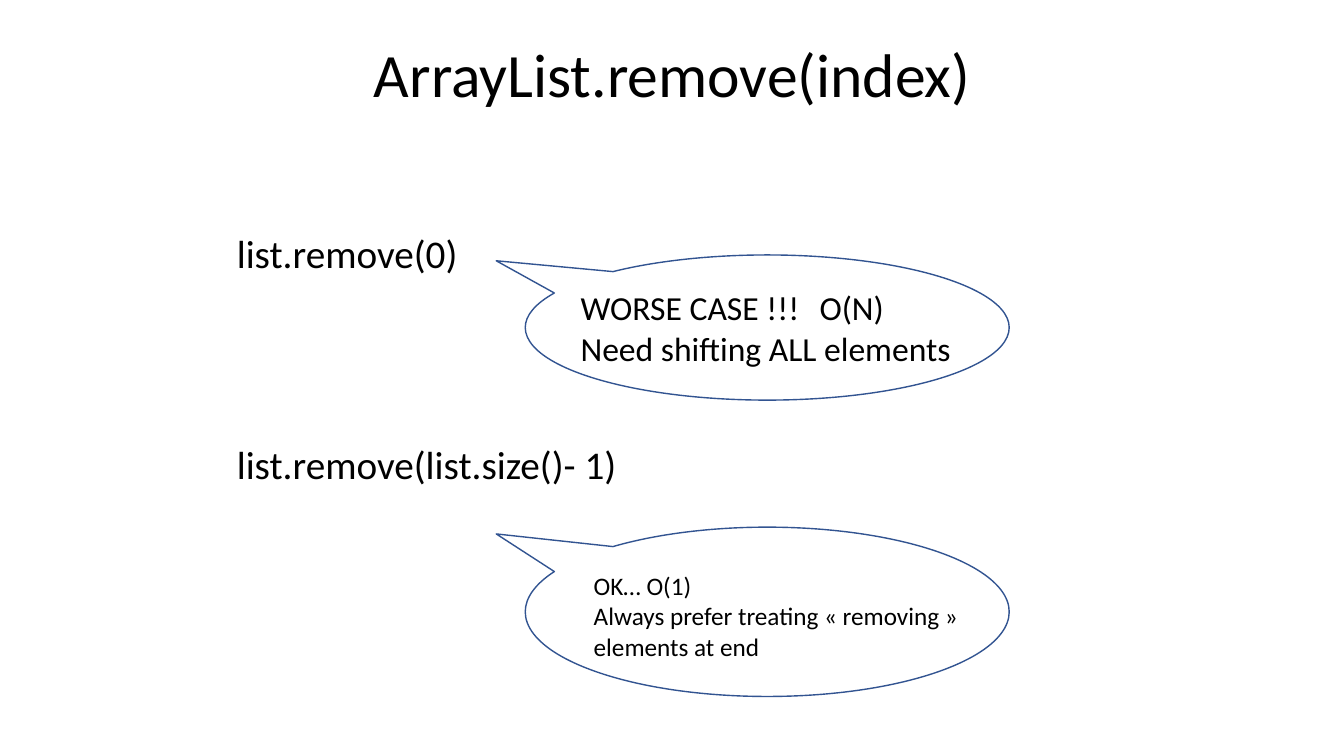
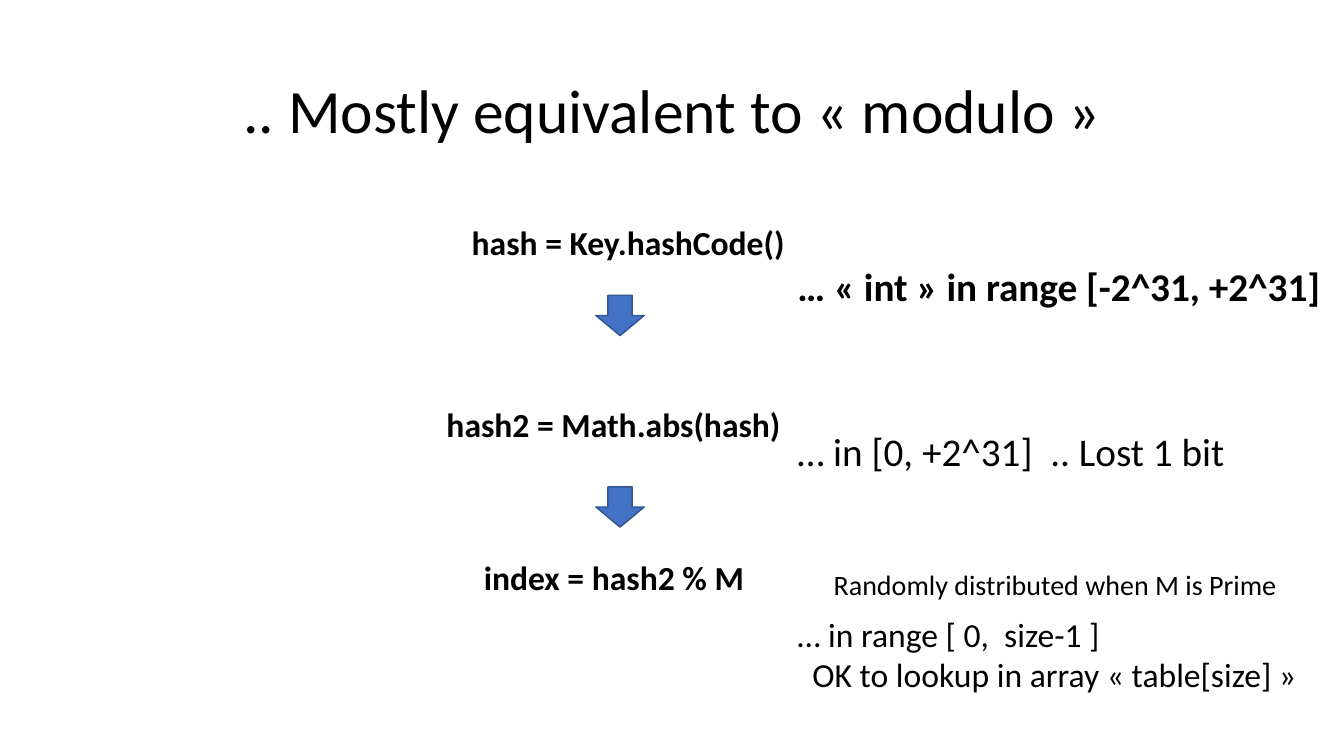
from lxml import etree
from pptx import Presentation
from pptx.dml.color import RGBColor
from pptx.enum.shapes import MSO_SHAPE
from pptx.enum.text import MSO_ANCHOR, MSO_AUTO_SIZE, PP_ALIGN
from pptx.oxml.ns import qn
from pptx.util import Emu, Pt

CALLOUT = MSO_SHAPE.OVAL_CALLOUT
DOWN_ARROW = MSO_SHAPE.DOWN_ARROW
MIDDLE = MSO_ANCHOR.MIDDLE
CENTER = PP_ALIGN.CENTER
FIT_SHAPE = MSO_AUTO_SIZE.SHAPE_TO_FIT_TEXT
NO_FIT = MSO_AUTO_SIZE.NONE
TITLE_ONLY = 5

FONT = "Calibri"
INK, BLUE, OUTLINE = "000000", "4472C4", "325491"


def px(n):
    """Convert px, 100 to the inch, to EMU."""
    return Emu(n * 9144)


def rgb(value):
    """Turn a hex string into a colour."""
    return RGBColor.from_string(value)


def write(p, text, size=24, bold=False, indent=0, tab=0):
    """Write formatted text into a paragraph, with an optional indent or tab stop."""
    pPr = p._p.get_or_add_pPr()
    if indent:
        pPr.set("marL", str(px(indent)))
        pPr.set("indent", "0")
    if tab:
        tabs = etree.SubElement(pPr, qn("a:tabLst"))
        etree.SubElement(tabs, qn("a:tab"), pos=str(px(tab)), algn="l")
    r = p.add_run()
    r.text = text
    r.font.name = FONT
    r.font.size = Pt(size)
    r.font.bold = bold
    r.font.color.rgb = rgb(INK)


class Deck:
    """Presentation with a shared style and a current slide."""

    def __init__(self):
        """Start an empty widescreen presentation."""
        self.prs = Presentation()
        self.prs.slide_width, self.prs.slide_height = px(1333), px(750)
        self.s = None

    def slide(self, title, y, h):
        """Add a slide with a centred title."""
        self.s = self.prs.slides.add_slide(self.prs.slide_layouts[TITLE_ONLY])
        sp = self.s.shapes.title
        sp.left, sp.top, sp.width, sp.height = px(92), px(y), px(1150), px(h)
        tf = sp.text_frame
        tf.auto_size = NO_FIT
        tf.vertical_anchor = MIDDLE
        p = tf.paragraphs[0]
        p.alignment = CENTER
        p.line_spacing = 0.9
        write(p, title, size=44)

    def text(self, x, y, w, h, *lines, wrap=False, **style):
        """Add a text box; a line is a string or a (string, format) pair."""
        tf = self.s.shapes.add_textbox(px(x), px(y), px(w), px(h)).text_frame
        tf.word_wrap = wrap
        tf.auto_size = FIT_SHAPE
        for i, line in enumerate(lines):
            p = tf.add_paragraph() if i else tf.paragraphs[0]
            words, extra = (line, {}) if isinstance(line, str) else line
            write(p, words, **style, **extra)

    def shape(self, kind, x, y, w, h, fill=None):
        """Add an outlined preset shape."""
        sp = self.s.shapes.add_shape(kind, px(x), px(y), px(w), px(h))
        sp.shadow.inherit = False
        if fill:
            sp.fill.solid()
            sp.fill.fore_color.rgb = rgb(fill)
        else:
            sp.fill.background()
        sp.line.color.rgb = rgb(OUTLINE)
        sp.line.width = Pt(1)
        return sp

    def callout(self, y, h):
        """Add an oval callout pointing up and left."""
        sp = self.shape(CALLOUT, 521, y, 480, h)
        sp.adjustments[0], sp.adjustments[1] = -0.56, -0.46

    def arrow(self, y):
        """Add a down arrow between two steps."""
        self.shape(DOWN_ARROW, 591, y, 48, 40, fill=BLUE)


def remove_slide(deck):
    """Build the slide on the cost of removing by index."""
    deck.slide("ArrayList.remove(index)", 15, 124)
    deck.text(225, 223, 241, 57, "list.remove(0)", size=28)
    deck.callout(253, 144)
    deck.text(566, 280, 392, 91, ("WORSE CASE !!!\tO(N)", {"tab": 237}),
              "Need shifting ALL elements")
    deck.text(225, 432, 401, 57, "list.remove(list.size()- 1)", size=28)
    deck.callout(523, 168)
    deck.text(579, 561, 392, 101, "OK… O(1)",
              "Always prefer treating « removing »", "elements at end", size=18)


def modulo_slide(deck):
    """Build the slide on turning a hash into an index."""
    deck.slide(".. Mostly equivalent to « modulo »", 40, 145)
    deck.text(458, 215, 353, 50, "hash = Key.hashCode()", wrap=True, bold=True)
    deck.text(781, 255, 546, 57, "… « int » in range [-2^31, +2^31]",
              size=28, bold=True)
    deck.arrow(293)
    deck.text(433, 396, 379, 50, "hash2 = Math.abs(hash)", wrap=True, bold=True)
    deck.text(781, 419, 457, 57, "… in [0, +2^31]  .. Lost 1 bit", size=28)
    deck.arrow(483)
    deck.text(470, 548, 281, 50, "index = hash2 % M", bold=True)
    deck.text(817, 558, 464, 44, "Randomly distributed when M is Prime", size=20)
    deck.text(781, 604, 534, 91, "… in range [ 0,  size-1 ]",
              ("OK to lookup in array « table[size] »", {"indent": 15}))


def main():
    """Build and save the presentation."""
    deck = Deck()
    remove_slide(deck)
    modulo_slide(deck)
    deck.prs.save("out.pptx")


if __name__ == "__main__":
    main()
